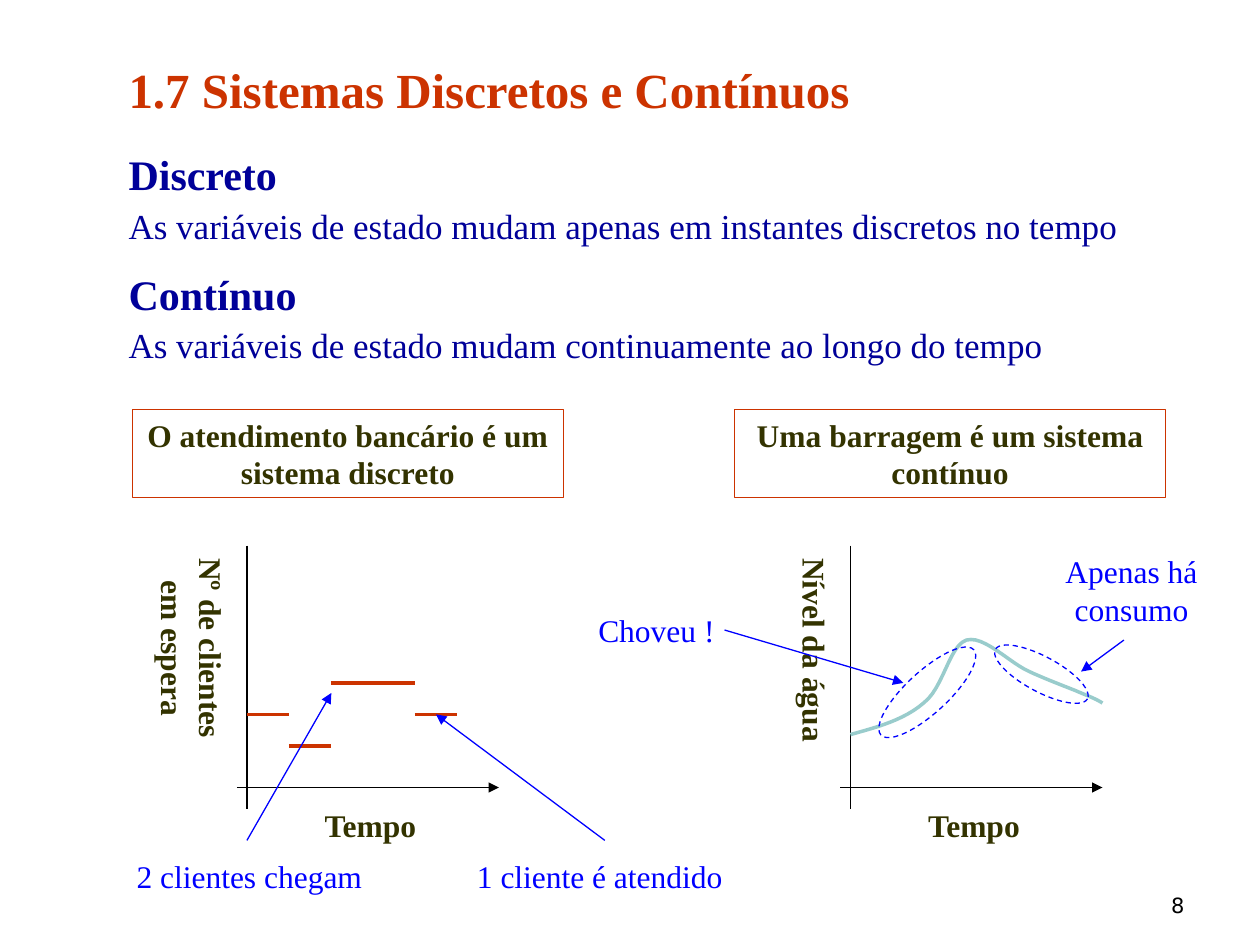
from dataclasses import dataclass

from lxml import etree
from pptx import Presentation
from pptx.dml.color import RGBColor
from pptx.enum.dml import MSO_LINE
from pptx.enum.shapes import MSO_CONNECTOR, MSO_SHAPE
from pptx.enum.text import MSO_ANCHOR, MSO_AUTO_SIZE, PP_ALIGN
from pptx.oxml.ns import qn
from pptx.util import Inches, Pt

LEFT, CENTER, RIGHT, JUSTIFY = PP_ALIGN.LEFT, PP_ALIGN.CENTER, PP_ALIGN.RIGHT, PP_ALIGN.JUSTIFY
TOP, BOTTOM = MSO_ANCHOR.TOP, MSO_ANCHOR.BOTTOM
NO_FIT, GROW = MSO_AUTO_SIZE.NONE, MSO_AUTO_SIZE.SHAPE_TO_FIT_TEXT
STRAIGHT = MSO_CONNECTOR.STRAIGHT
RECTANGLE, OVAL = MSO_SHAPE.RECTANGLE, MSO_SHAPE.OVAL
DASH = MSO_LINE.DASH
SERIF, SANS = "Times New Roman", "DejaVu Sans"
COLORS = {
    "heading": "CC3300",
    "body": "000099",
    "label": "333300",
    "note": "0000FF",
    "axis": "000000",
    "water": "99CCCC",
    "paper": "FFFFFF",
}

Point = tuple[float, float]
Box = tuple[float, float, float, float]


@dataclass
class Plot:
    axis_x: float
    caption: str
    caption_left: float
    level_label: str
    level_width: float


@dataclass
class Note:
    text: str
    box: Box
    start: Point
    end: Point
    wrap: bool = False


@dataclass
class Highlight:
    box: Box
    rotation: float


PLOTS = [
    Plot(1.96, "O atendimento bancário é um sistema discreto", 1.05, "Nº de clientes em espera", 1.1),
    Plot(6.75, "Uma barragem é um sistema contínuo", 5.83, "Nível da água", 0.8),
]
NOTES = [
    Note("2 clientes chegam", (0.83, 6.75, 2.3, 0.4), (1.96, 6.67), (2.63, 5.5)),
    Note("1 cliente é atendido", (3.5, 6.75, 2.52, 0.4), (4.8, 6.67), (3.46, 5.67)),
    Note("Choveu !", (4.59, 4.8, 1.24, 0.4), (5.75, 5), (7.17, 5.42)),
    Note("Apenas há consumo", (8.17, 4.33, 1.62, 0.7), (8.92, 5.08), (8.58, 5.33), True),
]
HIGHLIGHTS = [
    Highlight((6.86, 5.33, 1, 0.33), 317.4),
    Highlight((7.85, 5.21, 0.83, 0.28), 208.2),
]
QUEUE_LEVELS = [5.67, 5.92, 5.42, 5.42, 5.67]
WATER_START = (6.75, 5.83)
WATER_CURVES = [
    ((6.97, 5.77), (7.18, 5.71), (7.33, 5.58)),
    ((7.49, 5.46), (7.53, 5.13), (7.67, 5.08)),
    ((7.81, 5.04), (8.01, 5.26), (8.17, 5.33)),
    ((8.32, 5.4), (8.49, 5.46), (8.58, 5.5)),
    ((8.68, 5.54), (8.72, 5.56), (8.75, 5.58)),
]
DEFINITIONS = [
    ("Discreto", "As variáveis de estado mudam apenas em instantes discretos no tempo"),
    ("Contínuo", "As variáveis de estado mudam continuamente ao longo do tempo"),
]


def rgb(name: str) -> RGBColor:
    return RGBColor.from_string(COLORS[name])


def write(paragraph, text: str, *, size: float = 18, color: str = "label", bold: bool = False,
          font: str = SERIF, align=CENTER, after: float = 0) -> None:
    paragraph.alignment = align
    paragraph.space_after = Pt(after)
    run = paragraph.add_run()
    run.text = text
    run.font.name = font
    run.font.size = Pt(size)
    run.font.bold = bold
    run.font.color.rgb = rgb(color)


def set_frame(shape, *, anchor=TOP, wrap: bool = True, fit=GROW, vertical: bool = False):
    frame = shape.text_frame
    frame.word_wrap = wrap
    frame.auto_size = fit
    frame.vertical_anchor = anchor
    side, end = (0.05, 0.1) if vertical else (0.1, 0.05)
    frame.margin_left = frame.margin_right = Inches(side)
    frame.margin_top = frame.margin_bottom = Inches(end)
    if vertical:
        frame._txBody.bodyPr.set("vert", "eaVert")
    return frame


def add_label(slide, text: str, box: Box, *, anchor=TOP, wrap: bool = True, fit=GROW,
              vertical: bool = False, **text_format) -> None:
    label = slide.shapes.add_textbox(*map(Inches, box))
    frame = set_frame(label, anchor=anchor, wrap=wrap, fit=fit, vertical=vertical)
    write(frame.paragraphs[0], text, **text_format)


def add_line(slide, start: Point, end: Point, color: str, width: float, arrow: bool = False) -> None:
    line = slide.shapes.add_connector(STRAIGHT, *map(Inches, start + end))
    line.line.color.rgb = rgb(color)
    line.line.width = Pt(width)
    if arrow:
        etree.SubElement(line.line._get_or_add_ln(), qn("a:tailEnd"), type="triangle")
    etree.SubElement(line._element.spPr, qn("a:effectLst"))


def add_headings(slide) -> None:
    title = slide.shapes.title
    title.left, title.top, title.width, title.height = map(Inches, (0.92, 0.42, 8.58, 3.2))
    frame = set_frame(title, fit=NO_FIT)
    write(frame.paragraphs[0], "1.7 Sistemas Discretos e Contínuos", size=28, color="heading",
          bold=True, align=LEFT, after=17.5)
    for term, meaning in DEFINITIONS:
        write(frame.add_paragraph(), term, size=24, color="body", bold=True, align=JUSTIFY, after=3)
        write(frame.add_paragraph(), meaning, size=20, color="body", align=JUSTIFY, after=12.5)


def add_plot(slide, plot: Plot) -> None:
    x = plot.axis_x
    add_line(slide, (x, 4.33), (x, 6.42), "axis", 1)
    add_line(slide, (x - 0.08, 6.25), (x + 2, 6.25), "axis", 1, arrow=True)
    add_label(slide, plot.level_label, (x - 0.08 - plot.level_width, 4.33, plot.level_width, 1.7),
              vertical=True, bold=True)
    add_label(slide, "Tempo", (x + 0.19, 6.35, 1.58, 0.4), bold=True)
    caption = slide.shapes.add_shape(RECTANGLE, *map(Inches, (plot.caption_left, 3.25, 3.42, 0.7)))
    caption.shadow.inherit = False
    caption.fill.solid()
    caption.fill.fore_color.rgb = rgb("paper")
    caption.line.color.rgb = rgb("heading")
    caption.line.width = Pt(0.75)
    write(set_frame(caption).paragraphs[0], plot.caption, bold=True)


def add_queue_steps(slide, axis_x: float) -> None:
    for step, level in enumerate(QUEUE_LEVELS):
        add_line(slide, (axis_x + step / 3, level), (axis_x + (step + 1) / 3, level), "heading", 2)


def bezier(points: tuple[Point, ...], t: float) -> Point:
    weights = ((1 - t) ** 3, 3 * t * (1 - t) ** 2, 3 * t ** 2 * (1 - t), t ** 3)
    x, y = (sum(w * p[axis] for w, p in zip(weights, points)) for axis in (0, 1))
    return x, y


def add_water_level(slide, samples: int = 12) -> None:
    start, outline = WATER_START, []
    for curve in WATER_CURVES:
        outline += [bezier((start, *curve), i / samples) for i in range(1, samples + 1)]
        start = curve[-1]
    builder = slide.shapes.build_freeform(*map(Inches, WATER_START))
    builder.add_line_segments([(Inches(x), Inches(y)) for x, y in outline], close=False)
    water = builder.convert_to_shape()
    water.shadow.inherit = False
    water.fill.background()
    water.line.color.rgb = rgb("water")
    water.line.width = Pt(2)


def add_highlight(slide, highlight: Highlight) -> None:
    ellipse = slide.shapes.add_shape(OVAL, *map(Inches, highlight.box))
    ellipse.rotation = highlight.rotation
    ellipse.shadow.inherit = False
    ellipse.fill.background()
    ellipse.line.color.rgb = rgb("note")
    ellipse.line.width = Pt(0.75)
    ellipse.line.dash_style = DASH


def main() -> None:
    deck = Presentation()
    deck.slide_width, deck.slide_height = Inches(10), Inches(7.5)
    slide = deck.slides.add_slide(deck.slide_layouts[5])
    add_headings(slide)
    add_label(slide, "8", (7.17, 6.83, 2.33, 0.5), anchor=BOTTOM, fit=NO_FIT,
              size=12, color="axis", font=SANS, align=RIGHT)
    for plot in PLOTS:
        add_plot(slide, plot)
    add_queue_steps(slide, PLOTS[0].axis_x)
    add_water_level(slide)
    for note in NOTES:
        add_label(slide, note.text, note.box, wrap=note.wrap, color="note")
        add_line(slide, note.start, note.end, "note", 0.75, arrow=True)
    for highlight in HIGHLIGHTS:
        add_highlight(slide, highlight)
    deck.save("out.pptx")


if __name__ == "__main__":
    main()
